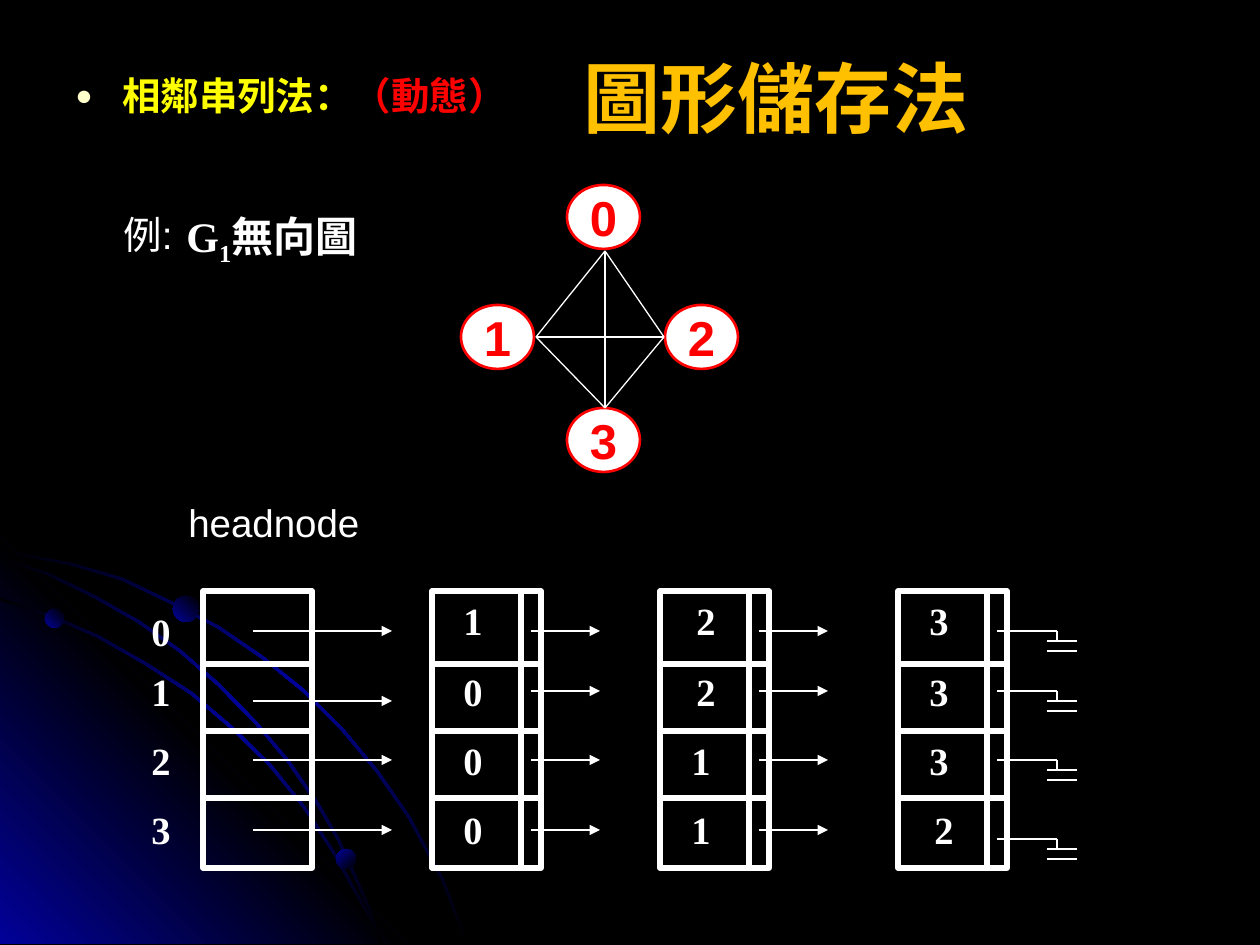
from itertools import combinations

from lxml import etree
from pptx import Presentation
from pptx.dml.color import RGBColor
from pptx.enum.shapes import MSO_CONNECTOR, MSO_SHAPE
from pptx.enum.text import MSO_ANCHOR, PP_ALIGN
from pptx.oxml.ns import qn
from pptx.util import Pt

STRAIGHT = MSO_CONNECTOR.STRAIGHT
RECTANGLE = MSO_SHAPE.RECTANGLE
OVAL = MSO_SHAPE.OVAL
NODE = MSO_SHAPE.FLOWCHART_CONNECTOR
LEFT, CENTER = PP_ALIGN.LEFT, PP_ALIGN.CENTER
TOP, MIDDLE = MSO_ANCHOR.TOP, MSO_ANCHOR.MIDDLE

BLACK = RGBColor(0x00, 0x00, 0x00)
WHITE = RGBColor(0xFF, 0xFF, 0xFF)
RED = RGBColor(0xFF, 0x00, 0x00)
YELLOW = RGBColor(0xFF, 0xFF, 0x00)
GOLD = RGBColor(0xFF, 0xC0, 0x00)
CREAM = RGBColor(0xFF, 0xFF, 0xCC)
NAVY = RGBColor(0x01, 0x01, 0x99)

EMU_PER_PX = 914400 / 126
SANS, SERIF = "Arial", "Times New Roman"

# Background: outer edges of the arcs, the corner glow, and dots (x, y, size, angle)
ARCS = [
    [(0, 548), (35, 556), (72, 563), (123, 578), (171, 601), (219, 626), (263, 656), (305, 690),
     (343, 728), (378, 770), (410, 816), (427, 848), (444, 879), (456, 911), (469, 944)],
    [(0, 598), (52, 615), (100, 636), (147, 663), (192, 692), (232, 726), (271, 764), (305, 806),
     (335, 852), (360, 897), (373, 920), (382, 944)],
    [(0, 557), (49, 573), (96, 596), (140, 621), (181, 650), (220, 684), (257, 722), (289, 760),
     (320, 805), (339, 838), (355, 873), (370, 907), (382, 944)],
]
CORNER = [(0, 538), (406, 944), (0, 944)]
DOTS = [(45, 609, 19, 315), (336, 849, 20, 45), (173, 596, 26, 315)]

# Graph: label, node corner, point where the edges meet the node
NODE_SIZE = (73, 64)
NODES = [("0", (567, 185), (605, 251)), ("1", (461, 305), (536, 337)),
         ("2", (665, 305), (664, 337)), ("3", (567, 408), (605, 408))]

# Adjacency lists
BOX_TOP, BOX_BOTTOM = 591, 868
DIVIDERS = (664, 731, 798)
DIGIT_TOPS = (591, 662, 731, 800)
HEAD_X, HEAD_W = 203, 109
DATA_W, LINK_W = 89, 20
HEAD_ARROWS = (631, 701, 760, 830)
LINK_ARROWS = (631, 691, 760, 830)
NULL_LINKS = (631, 691, 760, 839)
INDEX_TOPS = (602, 662, 731, 800)
# left of the column, its values, left of each value, whether links go on
COLUMNS = [(432, "1000", (451,) * 4, True),
           (660, "2211", (684, 684, 679, 679), True),
           (898, "3332", (917, 917, 917, 922), False)]


def px(value):
    """Turn pixels into EMU."""
    return round(value * EMU_PER_PX)


prs = Presentation()
prs.slide_width, prs.slide_height = px(1260), px(945)
slide = prs.slides.add_slide(prs.slide_layouts[6])
slide.background.fill.solid()
slide.background.fill.fore_color.rgb = BLACK
shapes = slide.shapes


def write(frame, text, size=22, font=SANS, color=WHITE, bold=True, align=LEFT,
          anchor=TOP, wrap=False):
    """Write text, or a list of (text, color, baseline) runs, in one format."""
    frame.word_wrap = wrap
    frame.vertical_anchor = anchor
    paragraph = frame.paragraphs[0]
    paragraph.alignment = align
    parts = [(text, color, 0)] if isinstance(text, str) else text
    for words, shade, baseline in parts:
        run = paragraph.add_run()
        run.text = words
        run.font.size, run.font.name, run.font.bold = Pt(size), font, bold
        run.font.color.rgb = shade
        if baseline:
            run.font._element.set("baseline", str(baseline))
    return paragraph


def label(x, y, w, h, text, **style):
    """Add a text box."""
    return write(shapes.add_textbox(px(x), px(y), px(w), px(h)).text_frame, text, **style)


def bullet(paragraph, color, indent):
    """Give a paragraph a round bullet with a hanging indent."""
    props = paragraph._p.get_or_add_pPr()
    props.set("marL", str(px(indent)))
    props.set("indent", str(-px(indent)))
    shade = etree.SubElement(props, qn("a:buClr"))
    etree.SubElement(shade, qn("a:srgbClr"), val=str(color))
    etree.SubElement(props, qn("a:buSzPct"), val="75000")
    etree.SubElement(props, qn("a:buFont"), typeface=SANS)
    etree.SubElement(props, qn("a:buChar"), char="●")


def shape(kind, x, y, w, h, line=None, width=3, fill=None):
    """Add a preset shape without shadow."""
    item = shapes.add_shape(kind, px(x), px(y), px(w), px(h))
    item.shadow.inherit = False
    if fill is None:
        item.fill.background()
    else:
        item.fill.solid()
        item.fill.fore_color.rgb = fill
    if line is None:
        item.line.fill.background()
    else:
        item.line.color.rgb = line
        item.line.width = Pt(width)
    return item


def gradient(item, colors, angle):
    """Fill with evenly spaced colors; the angle runs clockwise."""
    item.fill.gradient()
    item.fill.gradient_angle = 360 - angle
    stops = item._element.spPr.find(qn("a:gradFill")).find(qn("a:gsLst"))
    for stop in list(stops):
        stops.remove(stop)
    for i, color in enumerate(colors):
        stop = etree.SubElement(stops, qn("a:gs"), pos=str(100000 * i // (len(colors) - 1)))
        etree.SubElement(stop, qn("a:srgbClr"), val=str(color))


def outline(points, colors, angle):
    """Add a closed outline with a gradient."""
    builder = shapes.build_freeform(*points[0], scale=EMU_PER_PX)
    builder.add_line_segments(points[1:], close=True)
    item = builder.convert_to_shape()
    item.shadow.inherit = False
    item.line.fill.background()
    gradient(item, colors, angle)


def arc(edge):
    """Add a thin arc along its outer edge."""
    inner = [(max(x - 2, 0), min(y + 2, 944)) for x, y in reversed(edge)]
    outline(edge + inner, (BLACK, NAVY, BLACK), 45)


def line(start, end, width=0.75, arrow=False):
    """Add a white line, with an arrowhead if asked."""
    item = shapes.add_connector(STRAIGHT, *map(px, start + end))
    item.line.color.rgb = WHITE
    item.line.width = Pt(width)
    if arrow:
        etree.SubElement(item.line._get_or_add_ln(), qn("a:tailEnd"), type="triangle")
    etree.SubElement(item._element.spPr, qn("a:effectLst"))


def stack(x, w):
    """Add a column of four cells."""
    shape(RECTANGLE, x, BOX_TOP, w, BOX_BOTTOM - BOX_TOP, line=WHITE)
    for y in DIVIDERS:
        line((x, y), (x + w, y), width=3)


def digits(text, lefts, tops):
    """Write one digit per row."""
    for digit, x, y in zip(text, lefts, tops):
        label(x, y, 44, 59, digit, font=SERIF)


def null_link(x, y):
    """Add a link that ends in a ground sign."""
    line((x, y), (x + 60, y))
    line((x + 60, y), (x + 60, y + 10))
    for bar_y in (y + 10, y + 20):
        line((x + 50, bar_y), (x + 80, bar_y))


arc(ARCS[0])
outline(CORNER, (NAVY, BLACK, NAVY), 315)
for edge in ARCS[1:]:
    arc(edge)
for x, y, size, angle in DOTS:
    gradient(shape(OVAL, x, y, size, size), (NAVY, BLACK), angle)

heading = label(63, 66, 1134, 59, [("相鄰串列法：", YELLOW, 0), ("（動態）", RED, 0)], wrap=True)
heading.space_before = Pt(4.4)
bullet(heading, CREAM, 47)
label(372, 18, 826, 157, "圖形儲存法 ", size=44, color=GOLD, align=CENTER, anchor=MIDDLE, wrap=True)
label(111, 205, 74, 59, "例:", bold=False)
label(174, 204, 218, 63, [("G", WHITE, 0), ("1", WHITE, -25000), ("無向圖", WHITE, 0)],
      size=24, font=SERIF, wrap=True)
label(176, 493, 208, 59, "headnode", bold=False)

for name, corner, _ in NODES:
    node = shape(NODE, *corner, *NODE_SIZE, line=RED, width=1.5, fill=WHITE)
    write(node.text_frame, name, size=28, color=RED, align=CENTER, anchor=MIDDLE)
for (_, _, start), (_, _, end) in combinations(NODES, 2):
    line(start, end)

stack(HEAD_X, HEAD_W)
digits("0123", (139,) * 4, INDEX_TOPS)
for y in HEAD_ARROWS:
    line((253, y), (392, y), arrow=True)

for left, values, lefts, linked in COLUMNS:
    stack(left, DATA_W)
    stack(left + DATA_W, LINK_W)
    digits(values, lefts, DIGIT_TOPS)
    link_x = left + DATA_W + LINK_W // 2
    for y in LINK_ARROWS if linked else NULL_LINKS:
        if linked:
            line((link_x, y), (link_x + 69, y), arrow=True)
        else:
            null_link(link_x, y)

prs.save("out.pptx")
